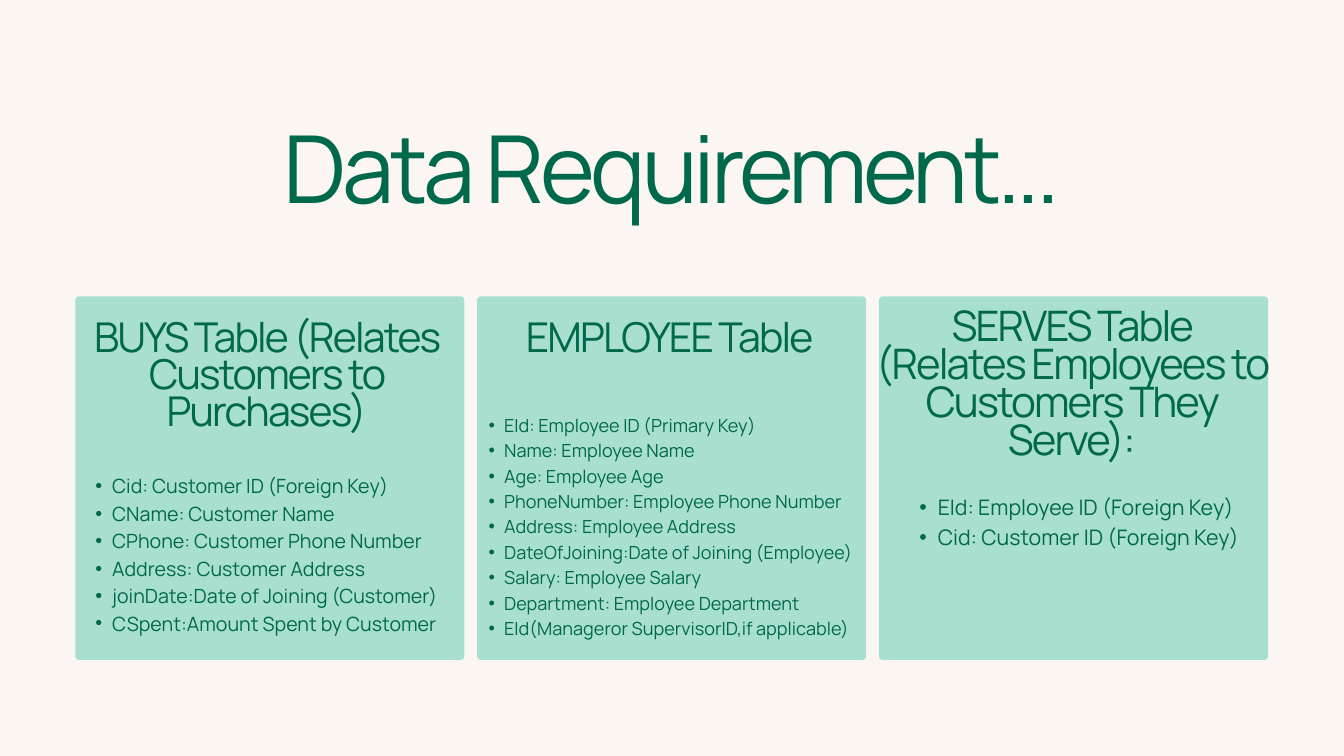
from lxml import etree
from pptx import Presentation
from pptx import util as u
from pptx.dml.color import RGBColor
from pptx.enum import shapes, text
from pptx.oxml.ns import qn

WIDE, HIGH = u.Inches(20), u.Inches(11.25)
CELL = WIDE / 20
LEFT, TOP, PITCH = 1.12, 4.41, 5.98
CARD = (5.79, 5.41)
FONT = "Manrope"
HUES = {"page": "FBF6F1", "card": "A9DFD0", "ink": "00694C"}

CARDS = [
    {
        "head": "BUYS Table (Relates Customers to Purchases)",
        "spot": (0.21, 4.82, 5.28, 1.67), "size": 44,
        "items": [
            "Cid: Customer ID (Foreign Key)",
            "CName: Customer Name",
            "CPhone: Customer Phone Number",
            "Address: Customer Address",
            "joinDate:Date of Joining (Customer)",
            "CSpent:Amount Spent by Customer",
        ],
        "area": (0.05, 7, 5.58, 2.55), "small": 21,
    },
    {
        "head": "EMPLOYEE Table",
        "spot": (-0.19, 4.82, 6.11, 0.59), "size": 44,
        "items": [
            "EId: Employee ID (Primary Key)",
            "Name: Employee Name",
            "Age: Employee Age",
            "PhoneNumber: Employee Phone Number",
            "Address: Employee Address",
            "DateOfJoining:Date of Joining (Employee)",
            "Salary: Employee Salary",
            "Department: Employee Department",
            "EId(Manageror SupervisorID,if applicable)",
        ],
        "area": (-0.06, 6.11, 5.85, 3.7), "small": 19.4,
    },
    {
        "head": "SERVES Table (Relates Employees to Customers They Serve):",
        "spot": (-0.06, 4.65, 5.86, 2.3), "size": 45,
        "items": [
            "EId: Employee ID (Foreign Key)",
            "Cid: Customer ID (Foreign Key)",
        ],
        "area": (0.33, 7.29, 5.13, 2.26), "small": 22.9,
    },
]


def hue(name):
    return RGBColor.from_string(HUES[name])


def grid(*cells):
    return [round(n * CELL) for n in cells]


def panel(slide, left):
    box = slide.shapes.add_shape(
        shapes.MSO_SHAPE.ROUNDED_RECTANGLE, *grid(left, TOP, *CARD))
    box.adjustments[0] = 0.01
    box.shadow.inherit = False
    box.fill.solid()
    box.fill.fore_color.rgb = hue("card")
    box.line.fill.background()


def dot(para, size):
    props = para._p.get_or_add_pPr()
    step = u.Inches(size / 84)
    props.set("marL", str(2 * step))
    props.set("indent", str(-step))
    etree.SubElement(props, qn("a:buFont")).set("typeface", "Arial")
    etree.SubElement(props, qn("a:buChar")).set("char", "•")


def write(slide, lines, spot, size, lead=0.9, track=-0.046,
          align=text.PP_ALIGN.CENTER, dots=False):
    frame = slide.shapes.add_textbox(*grid(*spot)).text_frame
    frame.word_wrap = True
    frame.auto_size = text.MSO_AUTO_SIZE.SHAPE_TO_FIT_TEXT
    frame.margin_left = frame.margin_right = 0
    frame.margin_top = frame.margin_bottom = 0
    for i, line in enumerate(lines):
        para = frame.add_paragraph() if i else frame.paragraphs[0]
        para.alignment = align
        para.line_spacing = u.Pt(round(size * lead, 1))
        if dots:
            dot(para, size)
        run = para.add_run()
        run.text = line
        run.font.name = FONT
        run.font.size = u.Pt(size)
        run.font.color.rgb = hue("ink")
        if track:
            run.font._element.set("spc", str(round(size * track * 100)))


def column(slide, left, card):
    panel(slide, left)
    x, *rest = card["spot"]
    write(slide, [card["head"]], (left + x, *rest), card["size"])
    x, *rest = card["area"]
    write(slide, card["items"], (left + x, *rest), card["small"], lead=1.4,
          track=0, align=text.PP_ALIGN.JUSTIFY, dots=True)


def main():
    deck = Presentation()
    deck.slide_width, deck.slide_height = WIDE, HIGH
    slide = deck.slides.add_slide(deck.slide_layouts[6])
    slide.background.fill.solid()
    slide.background.fill.fore_color.rgb = hue("page")
    write(slide, ["Data Requirement..."], (2.42, 2.05, 15.15, 1.37), 100.4)
    for i, card in enumerate(CARDS):
        column(slide, LEFT + i * PITCH, card)
    deck.save("out.pptx")


if __name__ == "__main__":
    main()
